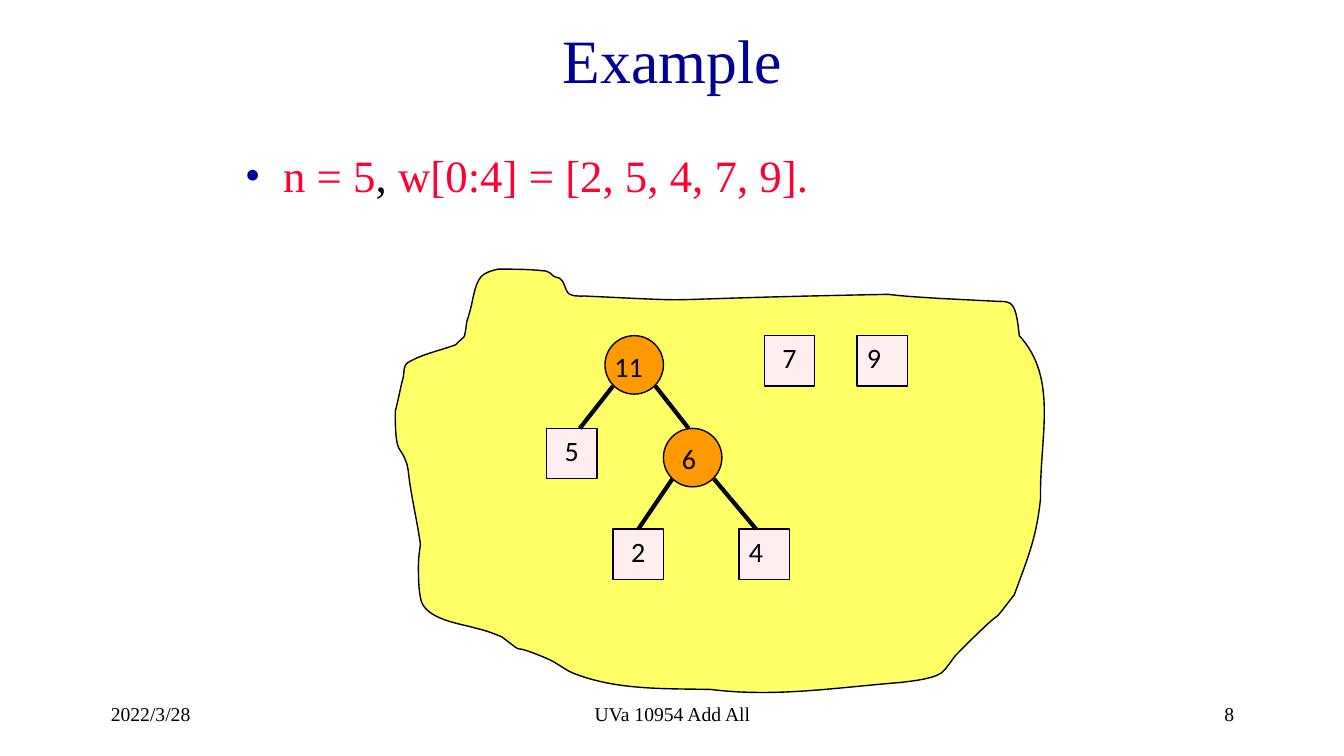
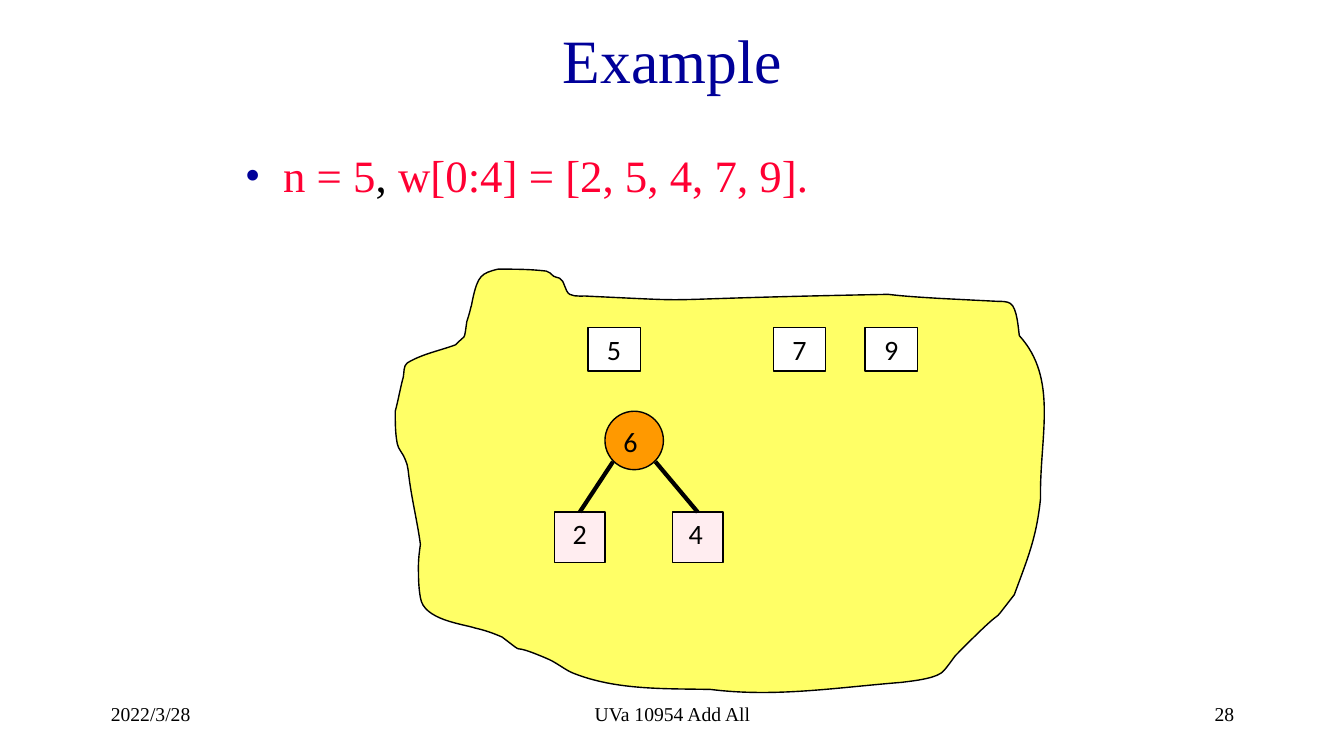
from lxml import etree
from pptx import Presentation
from pptx.dml.color import RGBColor
from pptx.enum.shapes import MSO_CONNECTOR as CONNECTOR, MSO_SHAPE as SHAPE
from pptx.enum.text import MSO_ANCHOR as ANCHOR, PP_ALIGN as ALIGN
from pptx.oxml.ns import qn
from pptx.util import Inches, Pt

NAVY = RGBColor(0x00, 0x00, 0x99)
RED = RGBColor(0xFF, 0x00, 0x33)
BLACK = RGBColor(0x00, 0x00, 0x00)
WHITE = RGBColor(0xFF, 0xFF, 0xFF)
YELLOW = RGBColor(0xFF, 0xFF, 0x66)
ORANGE = RGBColor(0xFF, 0x99, 0x00)
PINK = RGBColor(0xFF, 0xED, 0xF0)
SERIF, SANS = "Times New Roman", "Calibri"

# Cloud outline: a start point, then two control points and an end point per curve
CLOUD_LEFT, CLOUD_TOP, CLOUD_WIDTH, CLOUD_HEIGHT = 3.92, 2.67, 6.58, 4.25
CLOUD_START = (4.52, 3.42)
CLOUD_CURVES = [
    (4.36, 3.48, 4.19, 3.51, 4.04, 3.6), (4, 3.63, 4.01, 3.69, 4, 3.74),
    (3.97, 3.85, 3.95, 3.97, 3.92, 4.08), (3.92, 4.19, 3.92, 4.3, 3.94, 4.4),
    (3.95, 4.46, 4, 4.5, 4.02, 4.56), (4.05, 4.62, 4.05, 4.7, 4.06, 4.76),
    (4.09, 4.98, 4.14, 5.18, 4.17, 5.4), (4.16, 5.47, 4.15, 5.54, 4.15, 5.61),
    (4.15, 5.72, 4.15, 5.82, 4.17, 5.93), (4.2, 6.15, 4.59, 6.19, 4.71, 6.23),
    (4.8, 6.25, 4.89, 6.28, 4.98, 6.32), (5.27, 6.54, 4.98, 6.34, 5.44, 6.54),
    (5.53, 6.58, 5.61, 6.65, 5.69, 6.68), (6.12, 6.85, 6.61, 6.83, 7.05, 6.84),
    (7.69, 6.92, 8.3, 6.82, 8.94, 6.77), (9.01, 6.76, 9.24, 6.74, 9.33, 6.68),
    (9.37, 6.66, 9.46, 6.52, 9.48, 6.5), (10.1, 5.87, 9.74, 6.31, 10.06, 5.9),
    (10.2, 5.52, 10.28, 5.33, 10.32, 4.95), (10.31, 4.33, 10.5, 3.76, 10.11, 3.33),
    (10.1, 3.27, 10.09, 3.05, 10.02, 3.01), (9.99, 2.99, 9.94, 2.99, 9.9, 2.99),
    (9.7, 2.98, 9.51, 2.97, 9.31, 2.96), (9.15, 2.95, 8.97, 2.94, 8.81, 2.92),
    (6.18, 2.97, 7.16, 3, 5.86, 2.94), (5.79, 2.93, 5.71, 2.95, 5.65, 2.92),
    (5.6, 2.89, 5.6, 2.78, 5.55, 2.76), (5.53, 2.75, 5.5, 2.75, 5.49, 2.74),
    (5.46, 2.72, 5.45, 2.69, 5.42, 2.69), (5.26, 2.67, 5.1, 2.67, 4.94, 2.67),
    (4.77, 2.71, 4.74, 2.74, 4.69, 2.96), (4.68, 2.99, 4.68, 3.03, 4.67, 3.05),
    (4.66, 3.1, 4.63, 3.19, 4.63, 3.19), (4.6, 3.4, 4.62, 3.31, 4.52, 3.42),
]

# Preset, width, height, fill and alignment of each kind of node
NODE_STYLES = {
    "leaf": (SHAPE.RECTANGLE, 0.5, 0.5, PINK, ALIGN.LEFT),
    "sum": (SHAPE.OVAL, 0.58, 0.58, ORANGE, ALIGN.LEFT),
    "waiting": (SHAPE.RECTANGLE, 0.52, 0.43, WHITE, ALIGN.CENTER),
}

# Nodes: kind, label, left, top, left inset; edges: start x, y, end x, y
STEPS = [
    {
        "number": "8",
        "nodes": [
            ("leaf", "7", 7.58, 3.33, 0.18), ("leaf", "9", 8.5, 3.33, 0.1),
            ("sum", "11", 6, 3.33, 0.01), ("leaf", "5", 5.42, 4.25, 0.18),
            ("sum", "6", 6.58, 4.25, 0.1), ("leaf", "2", 6.08, 5.25, 0.18),
            ("leaf", "4", 7.33, 5.25, 0.1),
        ],
        "edges": [
            (6.08, 3.83, 5.75, 4.25), (6.5, 3.83, 6.83, 4.25),
            (6.67, 4.75, 6.33, 5.25), (7.08, 4.75, 7.5, 5.25),
        ],
    },
    {
        "number": "28",
        "nodes": [
            ("waiting", "5", 5.83, 3.25, 0), ("waiting", "7", 7.67, 3.25, 0),
            ("waiting", "9", 8.58, 3.25, 0), ("sum", "6", 6, 4.08, 0.1),
            ("leaf", "2", 5.5, 5.08, 0.18), ("leaf", "4", 6.67, 5.08, 0.16),
        ],
        "edges": [(6.08, 4.58, 5.75, 5.08), (6.5, 4.58, 6.92, 5.08)],
    },
]


def write_text(shape, runs, size, font_name, alignment=ALIGN.LEFT, anchor=ANCHOR.TOP):
    """Fill the first paragraph with (text, colour) runs."""
    frame = shape.text_frame
    frame.word_wrap = True
    frame.vertical_anchor = anchor
    paragraph = frame.paragraphs[0]
    paragraph.alignment = alignment
    for text, color in runs:
        run = paragraph.add_run()
        run.text = text
        for name, value in {"size": Pt(size), "name": font_name}.items():
            setattr(run.font, name, value)
        run.font.color.rgb = color
    return paragraph


def paint(shape, fill):
    shape.shadow.inherit = False
    shape.fill.solid()
    shape.fill.fore_color.rgb = fill
    shape.line.color.rgb = BLACK
    shape.line.width = Pt(1)


presentation = Presentation()
presentation.slide_width = Inches(13.33)
presentation.slide_height = Inches(7.5)

for step in STEPS:
    slide = presentation.slides.add_slide(presentation.slide_layouts[6])
    shapes = slide.shapes

    # Straight segments first, then each one becomes a cubic curve
    builder = shapes.build_freeform(*map(Inches, CLOUD_START))
    ends = [(Inches(curve[4]), Inches(curve[5])) for curve in CLOUD_CURVES]
    builder.add_line_segments(ends, close=True)
    cloud = builder.convert_to_shape()
    paint(cloud, YELLOW)
    cloud.width, cloud.height = Inches(CLOUD_WIDTH), Inches(CLOUD_HEIGHT)
    outline = next(cloud._element.iter(qn("a:path")))
    outline.set("w", str(cloud.width))
    outline.set("h", str(cloud.height))
    for segment, curve in zip(outline.findall(qn("a:lnTo")), CLOUD_CURVES):
        bezier = etree.Element(qn("a:cubicBezTo"))
        for x, y in zip(curve[::2], curve[1::2]):
            etree.SubElement(bezier, qn("a:pt"), x=str(Inches(x - CLOUD_LEFT)),
                             y=str(Inches(y - CLOUD_TOP)))
        outline.replace(segment, bezier)

    title = shapes.add_textbox(*map(Inches, (2.42, 0, 8.5, 1.17)))
    write_text(title, [("Example", NAVY)], 44, SERIF, ALIGN.CENTER, ANCHOR.MIDDLE)

    body = shapes.add_textbox(*map(Inches, (2.33, 1.42, 8.5, 0.67)))
    runs = [("n = 5", RED), (", ", BLACK), ("w[0:4] = [2, 5, 4, 7, 9].", RED)]
    properties = write_text(body, runs, 32, SERIF)._p.get_or_add_pPr()
    properties.set("marL", str(Inches(0.38)))
    properties.set("indent", str(Inches(-0.38)))
    bullet_color = etree.SubElement(properties, qn("a:buClr"))
    etree.SubElement(bullet_color, qn("a:srgbClr"), val=str(NAVY))
    etree.SubElement(properties, qn("a:buFont"), typeface=SERIF)
    etree.SubElement(properties, qn("a:buChar"), char="•")

    for kind, label, left, top, inset in step["nodes"]:
        preset, width, height, fill, alignment = NODE_STYLES[kind]
        node = shapes.add_shape(preset, *map(Inches, (left, top, width, height)))
        paint(node, fill)
        node.text_frame.margin_left = Inches(inset)
        node.text_frame.margin_right = 0
        write_text(node, [(label, BLACK)], 20, SANS, alignment)

    for edge in step["edges"]:
        connector = shapes.add_connector(CONNECTOR.STRAIGHT, *map(Inches, edge))
        connector.line.color.rgb = BLACK
        connector.line.width = Pt(3)
        etree.SubElement(connector._element.spPr, qn("a:effectLst"))

    for text, left, width, alignment in [
        ("2022/3/28", 1, 2.78, ALIGN.LEFT),
        ("UVa 10954 Add All", 4.56, 4.22, ALIGN.CENTER),
        (step["number"], 9.56, 2.78, ALIGN.RIGHT),
    ]:
        footer = shapes.add_textbox(*map(Inches, (left, 6.83, width, 0.5)))
        write_text(footer, [(text, BLACK)], 14, SERIF, alignment, ANCHOR.MIDDLE)

presentation.save("out.pptx")
